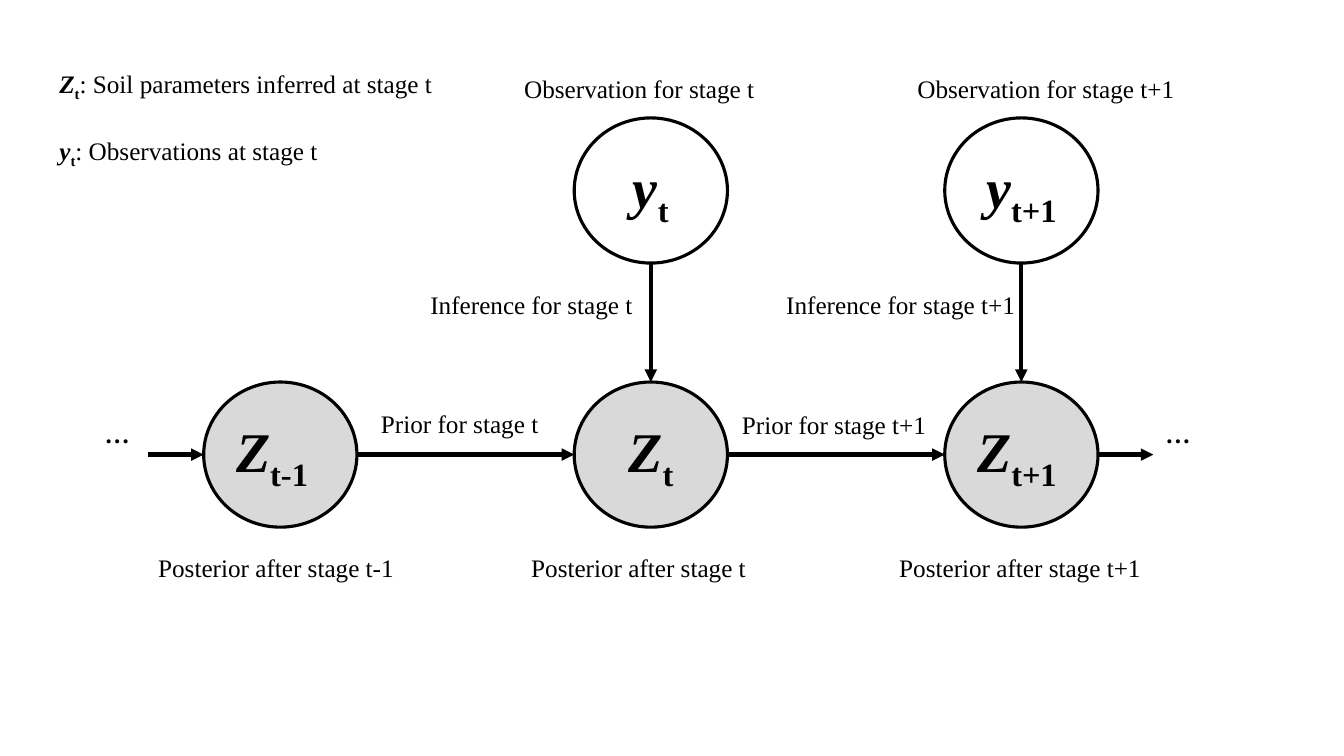
from lxml import etree
from pptx import Presentation
from pptx.dml.color import RGBColor
from pptx.enum.shapes import MSO_CONNECTOR, MSO_SHAPE
from pptx.enum.text import MSO_ANCHOR, PP_ALIGN
from pptx.oxml.ns import qn
from pptx.util import Inches, Pt

OVAL = MSO_SHAPE.OVAL
STRAIGHT = MSO_CONNECTOR.STRAIGHT
MIDDLE = MSO_ANCHOR.MIDDLE
LEFT, CENTER = PP_ALIGN.LEFT, PP_ALIGN.CENTER

BLACK, WHITE, GRAY = "000000", "FFFFFF", "D9D9D9"
NODE_W, NODE_H = 1.52, 1.44
STAGE_X = [2.02 + 3.675 * stage for stage in range(3)]
OBSERVATION_Y, POSTERIOR_Y = 1.17, 3.79
CHAIN_Y = POSTERIOR_Y + NODE_H / 2
OUTER_ARROW = 0.55
SYMBOL, SUBSCRIPT, PLAIN, BOLD = "symbol", "subscript", "plain", "bold"


def color(hex_code):
    return RGBColor.from_string(hex_code)


def write(frame, parts, size, align=LEFT):
    frame.word_wrap = True
    paragraph = frame.paragraphs[0]
    paragraph.alignment = align
    for words, style in parts:
        run = paragraph.add_run()
        run.text = words
        run.font.name = "Times New Roman"
        run.font.size = Pt(size)
        run.font.color.rgb = color(BLACK)
        run.font.bold = style != PLAIN
        run.font.italic = style == SYMBOL
        if style == SUBSCRIPT:
            run._r.get_or_add_rPr().set("baseline", "-25000")


prs = Presentation()
prs.slide_width, prs.slide_height = Inches(13.33), Inches(7.5)
slide = prs.slides.add_slide(prs.slide_layouts[6])

nodes = [
    (0, POSTERIOR_Y, "Z", "t-1", GRAY, LEFT),
    (1, POSTERIOR_Y, "Z", "t", GRAY, CENTER),
    (2, POSTERIOR_Y, "Z", "t+1", GRAY, LEFT),
    (1, OBSERVATION_Y, "y", "t", WHITE, CENTER),
    (2, OBSERVATION_Y, "y", "t+1", WHITE, CENTER),
]
for stage, top, symbol, index, fill, align in nodes:
    node = slide.shapes.add_shape(
        OVAL, Inches(STAGE_X[stage]), Inches(top), Inches(NODE_W), Inches(NODE_H))
    node.shadow.inherit = False
    node.fill.solid()
    node.fill.fore_color.rgb = color(fill)
    node.line.color.rgb = color(BLACK)
    node.line.width = Pt(2.25)
    node.text_frame.vertical_anchor = MIDDLE
    write(node.text_frame, [(symbol, SYMBOL), (index, SUBSCRIPT)], 40, align)

chain_starts = [STAGE_X[0] - OUTER_ARROW] + [x + NODE_W for x in STAGE_X]
chain_ends = STAGE_X + [STAGE_X[-1] + NODE_W + OUTER_ARROW]
arrows = [(start, CHAIN_Y, end, CHAIN_Y) for start, end in zip(chain_starts, chain_ends)]
for x in STAGE_X[1:]:
    center = x + NODE_W / 2
    arrows.append((center, OBSERVATION_Y + NODE_H, center, POSTERIOR_Y))
for ends in arrows:
    arrow = slide.shapes.add_connector(STRAIGHT, *[Inches(value) for value in ends])
    arrow.line.color.rgb = color(BLACK)
    arrow.line.width = Pt(3)
    etree.SubElement(arrow.line._get_or_add_ln(), qn("a:tailEnd"), type="triangle")
    etree.SubElement(arrow._element.spPr, qn("a:effectLst"))

labels = [
    (1.47, 5.43, 2.62, [("Posterior after stage t-1", PLAIN)]),
    (5.17, 5.43, 2.44, [("Posterior after stage t", PLAIN)]),
    (8.82, 5.43, 2.62, [("Posterior after stage t+1", PLAIN)]),
    (5.1, 0.68, 2.51, [("Observation for stage t", PLAIN)]),
    (9, 0.68, 2.78, [("Observation for stage t+1", PLAIN)]),
    (4.17, 2.82, 2.28, [("Inference for stage t", PLAIN)]),
    (7.7, 2.82, 2.5, [("Inference for stage t+1", PLAIN)]),
    (3.68, 4, 1.78, [("Prior for stage t", PLAIN)]),
    (7.26, 4.01, 2.05, [("Prior for stage t+1", PLAIN)]),
    (0.94, 4.1, 0.45, [("…", BOLD)]),
    (11.46, 4.1, 0.45, [("…", BOLD)]),
    (0.49, 0.63, 4, [("Z", SYMBOL), ("t", SUBSCRIPT),
                     (": Soil parameters inferred at stage t", PLAIN)]),
    (0.49, 1.29, 2.92, [("y", SYMBOL), ("t", SUBSCRIPT),
                        (": Observations at stage t", PLAIN)]),
]
for left, top, width, parts in labels:
    label = slide.shapes.add_textbox(Inches(left), Inches(top), Inches(width), Inches(0.4))
    write(label.text_frame, parts, 18)

prs.save("out.pptx")
